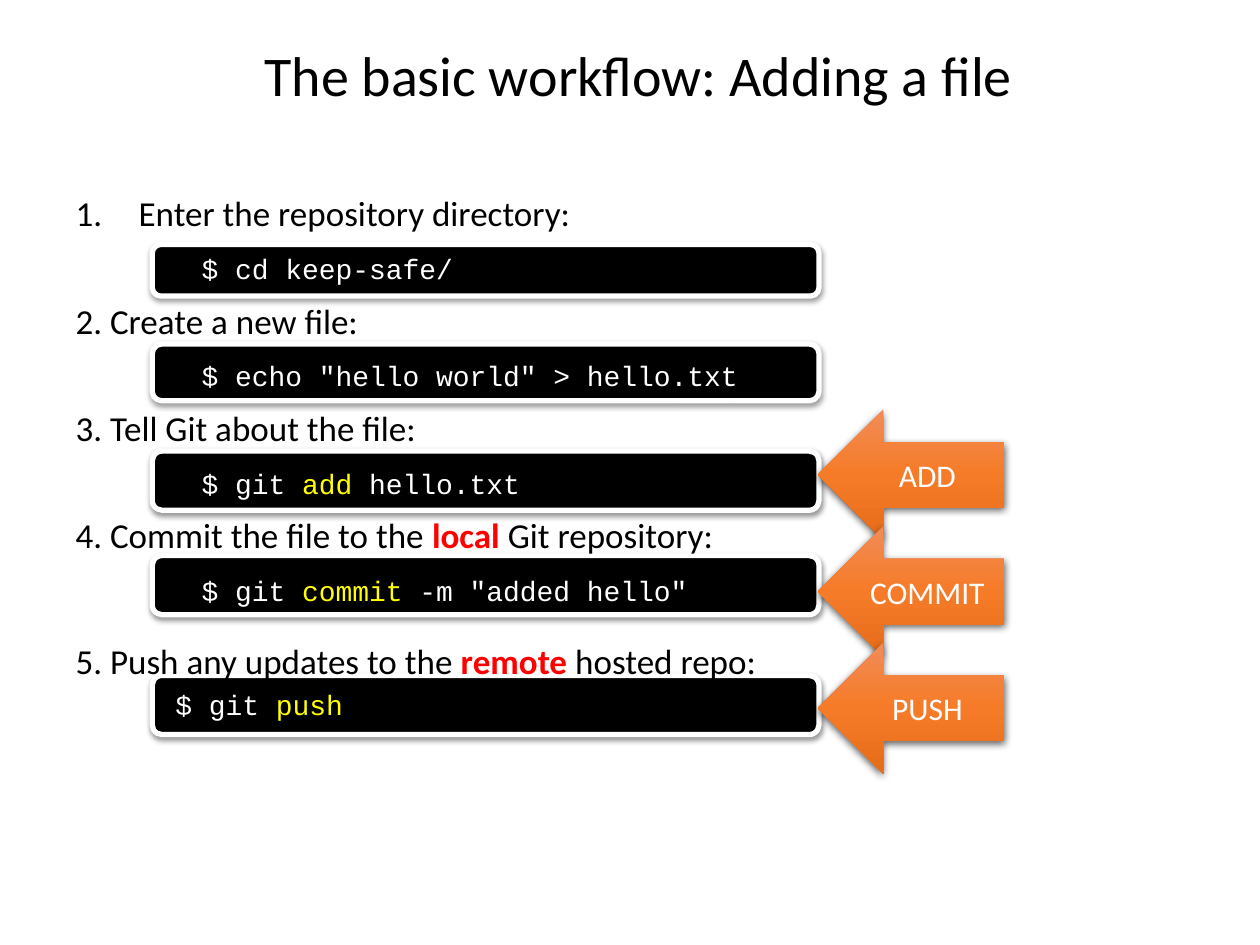
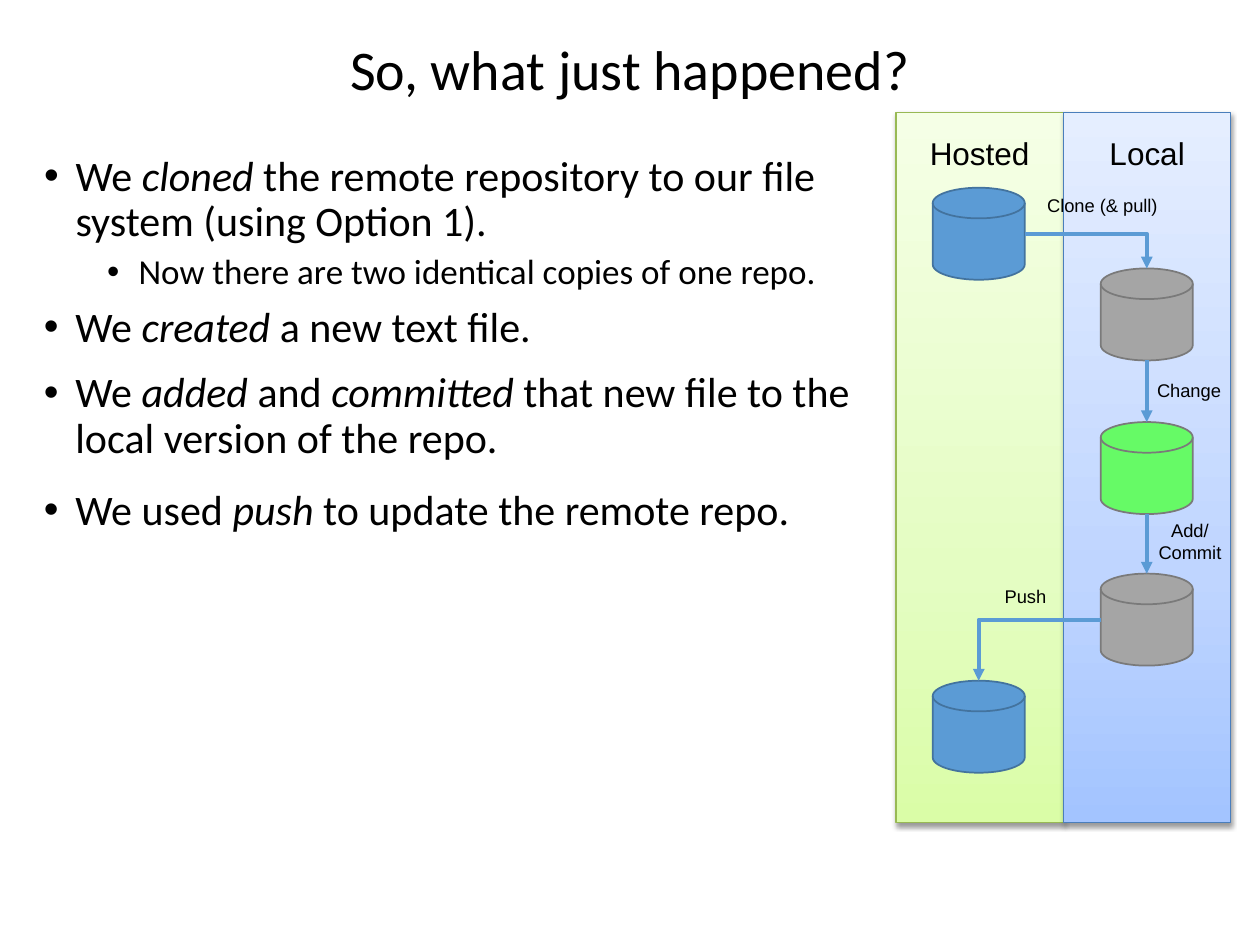
"""Build two slides on adding a file to a Git repository."""
from dataclasses import dataclass

from lxml.etree import SubElement
from pptx import Presentation
from pptx.dml.color import RGBColor
from pptx.enum.shapes import MSO_CONNECTOR as CONN, MSO_SHAPE as SHAPE
from pptx.enum.text import MSO_ANCHOR as ANCHOR, MSO_AUTO_SIZE as AUTO, PP_ALIGN as ALIGN
from pptx.oxml.ns import qn
from pptx.util import Pt


@dataclass(frozen=True)
class Theme:
    black: str = "000000"
    white: str = "FFFFFF"
    yellow: str = "FFFF00"
    red: str = "FF0000"
    blue: str = "5B9BD5"
    blue_edge: str = "43739E"
    gray: str = "A5A5A5"
    gray_edge: str = "7A7A7A"
    green: str = "66FA66"
    lime_edge: str = "98B954"
    sky_edge: str = "4A7EBB"
    orange: tuple = ((0, "F18C57"), (50, "F67B28"), (100, "E56C19"))
    lime: tuple = ((0, "F5FFE6"), (65, "E4FDC2"), (100, "DAFDA7"))
    sky: tuple = ((0, "E5EEFF"), (65, "BFD5FF"), (100, "A3C4FF"))
    soft_shadow: tuple = (38, 3.1, 1.6)
    strong_shadow: tuple = (63, 4.5, 1.5)
    font: str = "Calibri"
    label_font: str = "Arial"
    code_font: str = "Courier New"
    title: float = 32
    body: float = 24
    step: float = 20
    heading: float = 18
    code: float = 16
    label: float = 10.5


T = Theme()
TOP, LEFT, BOTTOM, RIGHT = 1, 2, 3, 4
PORTS = {TOP: (0.5, 0), LEFT: (0, 0.5), BOTTOM: (0.5, 1), RIGHT: (1, 0.5)}


class Deck:
    def __init__(self):
        self.prs = Presentation()
        self.prs.slide_width, self.prs.slide_height = Pt(720), Pt(540)
        self.s = None

    def slide(self, title, x, h):
        self.s = self.prs.slides.add_slide(self.prs.slide_layouts[1])
        tf = self.frame(self.place(self.s.shapes.title, x, 0, 648, h), ANCHOR.MIDDLE)
        self.para(tf, [title], T.title, align=ALIGN.CENTER, spacing=0.9)

    def place(self, sp, x, y, w, h):
        sp.left, sp.top, sp.width, sp.height = Pt(x), Pt(y), Pt(w), Pt(h)
        return sp

    def frame(self, sp, anchor=ANCHOR.TOP):
        tf = sp.text_frame
        tf.word_wrap, tf.auto_size, tf.vertical_anchor = True, AUTO.NONE, anchor
        return tf

    def body(self, x, y, w, h):
        return self.frame(self.place(self.s.placeholders[1], x, y, w, h))

    def text_box(self, x, y, w, h):
        return self.frame(self.s.shapes.add_textbox(Pt(x), Pt(y), Pt(w), Pt(h)))

    def para(self, tf, runs, size, color=T.black, font=T.font, before=0, align=None,
             spacing=None, bullet=None, margin=0, indent=0, level=0):
        p = tf.paragraphs[0]
        if p.runs:
            p = tf.add_paragraph()
        pPr = p._p.get_or_add_pPr()
        pPr.set("marL", str(Pt(margin)))
        pPr.set("indent", str(Pt(indent)))
        if bullet == "•":
            SubElement(pPr, qn("a:buFont"), typeface=T.label_font)
            SubElement(pPr, qn("a:buChar"), char=bullet)
        elif bullet:
            SubElement(pPr, qn("a:buFont"), typeface="+mj-lt")
            SubElement(pPr, qn("a:buAutoNum"), type=bullet)
        else:
            SubElement(pPr, qn("a:buNone"))
        p.level, p.space_before, p.space_after = level, Pt(before), Pt(0)
        if align:
            p.alignment = align
        if spacing:
            p.line_spacing = spacing
        for run in runs:
            text, look = (run, {}) if isinstance(run, str) else run
            r = p.add_run()
            r.text = text
            r.font.name, r.font.size = font, Pt(size)
            r.font.color.rgb = RGBColor.from_string(look.get("color", color))
            r.font.bold, r.font.italic = look.get("bold"), look.get("italic")

    def bullet(self, tf, runs, size=T.body, level=0, before=0):
        self.para(tf, runs, size, bullet="•", margin=18 + 36 * level, indent=-18,
                  level=level, before=before, spacing=0.9)

    def shape(self, kind, x, y, w, h, fill, line=None, weight=1, shadow=None):
        sp = self.s.shapes.add_shape(kind, Pt(x), Pt(y), Pt(w), Pt(h))
        sp.shadow.inherit = False
        if isinstance(fill, str):
            sp.fill.solid()
            sp.fill.fore_color.rgb = RGBColor.from_string(fill)
        else:
            self.gradient(sp, fill)
        if line:
            sp.line.color.rgb = RGBColor.from_string(line)
            sp.line.width = Pt(weight)
        else:
            sp.line.fill.background()
        if shadow:
            self.shadow(sp, *shadow)
        return sp

    def gradient(self, sp, stops):
        sp.fill.gradient()
        grad = sp.element.spPr.find(qn("a:gradFill"))
        stop_list = grad.find(qn("a:gsLst"))
        for old in list(stop_list):
            stop_list.remove(old)
        for pos, color in stops:
            gs = SubElement(stop_list, qn("a:gs"), pos=str(pos * 1000))
            SubElement(gs, qn("a:srgbClr"), val=color)
        grad.find(qn("a:lin")).set("ang", "5400000")

    def shadow(self, sp, alpha, blur, dist):
        effects = sp.element.spPr.find(qn("a:effectLst"))
        outer = SubElement(effects, qn("a:outerShdw"), blurRad=str(Pt(blur)),
                           dist=str(Pt(dist)), dir="5400000", rotWithShape="0")
        clr = SubElement(outer, qn("a:srgbClr"), val=T.black)
        SubElement(clr, qn("a:alpha"), val=str(alpha * 1000))

    def terminal(self, y, h):
        sp = self.shape(SHAPE.ROUNDED_RECTANGLE, 87, y, 381, h, T.black, T.white, 3,
                        T.soft_shadow)
        sp.element.getparent().insert(2, sp.element)

    def arrow(self, text, y):
        sp = self.shape(SHAPE.LEFT_ARROW, 467.3, y, 106.6, 74.9, T.orange,
                        shadow=T.strong_shadow)
        self.para(self.frame(sp, ANCHOR.MIDDLE), [text], T.heading, T.white,
                  align=ALIGN.CENTER)

    def panel(self, text, x, fill, line):
        sp = self.shape(SHAPE.RECTANGLE, x, 64.5, 95.7, 405.5, fill, line, 0.75,
                        T.soft_shadow)
        tf = self.frame(sp)
        tf.margin_top = Pt(12)
        self.para(tf, [text], T.heading, font=T.label_font, align=ALIGN.CENTER)

    def disk(self, x, y, fill, line):
        return self.shape(SHAPE.FLOWCHART_MAGNETIC_DISK, x, y, 52.6, 52.6, fill, line)

    def label(self, text, center, y):
        lines = text.split("\n")
        tf = self.text_box(center - 40, y, 80, 8 + 12.1 * len(lines))
        tf.margin_left = tf.margin_right = 0
        for line in lines:
            self.para(tf, [line], T.label, font=T.label_font, align=ALIGN.CENTER)

    def link(self, start, start_port, end, end_port):
        ends = []
        for sp, port in ((start, start_port), (end, end_port)):
            fx, fy = PORTS[port]
            ends += [int(sp.left + fx * sp.width), int(sp.top + fy * sp.height)]
        bent = start_port != BOTTOM
        cx = self.s.shapes.add_connector(CONN.ELBOW if bent else CONN.STRAIGHT, *ends)
        cx.line.color.rgb = RGBColor.from_string(T.blue)
        cx.line.width = Pt(2.25)
        spPr = cx.element.spPr
        if bent:
            spPr.find(qn("a:prstGeom")).set("prst", "bentConnector2")
        SubElement(spPr.find(qn("a:ln")), qn("a:tailEnd"), type="triangle")
        SubElement(spPr, qn("a:effectLst"))
        joints = next(cx.element.iter(qn("p:cNvCxnSpPr")))
        for tag, sp, port in (("a:stCxn", start, start_port), ("a:endCxn", end, end_port)):
            SubElement(joints, qn(tag), id=str(sp.shape_id), idx=str(port))


def workflow_slide(d):
    d.slide("The basic workflow: Adding a file", 41, 90)
    for y, h in ((139.7, 29.5), (196.6, 32.4), (257.8, 33.8), (317.5, 33.8), (386, 33.8)):
        d.terminal(y, h)
    key = {"color": T.yellow}
    strong = {"color": T.red, "bold": True}
    steps = (
        (["Enter the repository directory:"], ["$ cd keep-safe/"]),
        (["2. Create a new file:"], ['$ echo "hello world" > hello.txt']),
        (["3. Tell Git about the file:"], ["$ git ", ("add", key), " hello.txt"]),
        (["4. Commit the file to the ", ("local ", strong), "Git repository:"],
         ["$ git ", ("commit", key), ' -m "added hello"']),
        (["5. Push any updates to the ", ("remote ", strong), "hosted repo:"],
         ["$ git ", ("push", key)]),
    )
    tf = d.body(36, 108.7, 561, 431)
    for i, (step, code) in enumerate(steps):
        first, last = i == 0, i == len(steps) - 1
        numbering = dict(bullet="arabicPeriod", margin=36, indent=-36) if first else {}
        d.para(tf, step, T.step, spacing=0.9,
               before=0 if first else 21 if last else 10.5, **numbering)
        d.para(tf, code, T.code, T.white, T.code_font, spacing=0.9,
               before=5 if last else 12, margin=57 if last else 72)
    for i, text in enumerate(("ADD", "COMMIT", "PUSH")):
        d.arrow(text, 234 + 66.6 * i)


def summary_slide(d):
    d.slide("So, what just happened?", 36, 83)
    it = {"italic": True}
    tf = d.body(18, 85, 479.5, 127.4)
    d.bullet(tf, ["We ", ("cloned", it),
                  " the remote repository to our file system (using Option 1)."])
    d.bullet(tf, ["Now there are two identical copies of one repo."], T.step, 1, 5)
    d.panel("Hosted", 512, T.lime, T.lime_edge)
    d.panel("Local", 607.7, T.sky, T.sky_edge)

    hosted_x, local_x = 533, 629
    origin = d.disk(hosted_x, 107.3, T.blue, T.blue_edge)
    clone = d.disk(local_x, 153.4, T.gray, T.gray_edge)
    changed = d.disk(local_x, 241.2, T.green, T.gray_edge)
    committed = d.disk(local_x, 327.8, T.gray, T.gray_edge)
    pushed = d.disk(hosted_x, 389, T.blue, T.blue_edge)
    d.link(origin, RIGHT, clone, TOP)
    d.link(clone, BOTTOM, changed, TOP)
    d.link(changed, BOTTOM, committed, TOP)
    d.link(committed, LEFT, pushed, TOP)
    for text, center, y in (("Clone (& pull)", 630, 107.3), ("Change", 679.5, 213),
                            ("Add/\nCommit", 680, 293.3), ("Push", 586, 331)):
        d.label(text, center, y)

    for y, h, runs in (
        (171.4, 37.4, ["We ", ("created", it), " a new text file."]),
        (208.8, 66, ["We ", ("added", it), " and ", ("committed", it),
                     " that new file to the local version of the repo."]),
        (275.8, 37.4, ["We used ", ("push", it), " to update the remote repo."]),
    ):
        d.bullet(d.text_box(18, y, 479.5, h), runs)


def main():
    d = Deck()
    workflow_slide(d)
    summary_slide(d)
    d.prs.save("out.pptx")


if __name__ == "__main__":
    main()
